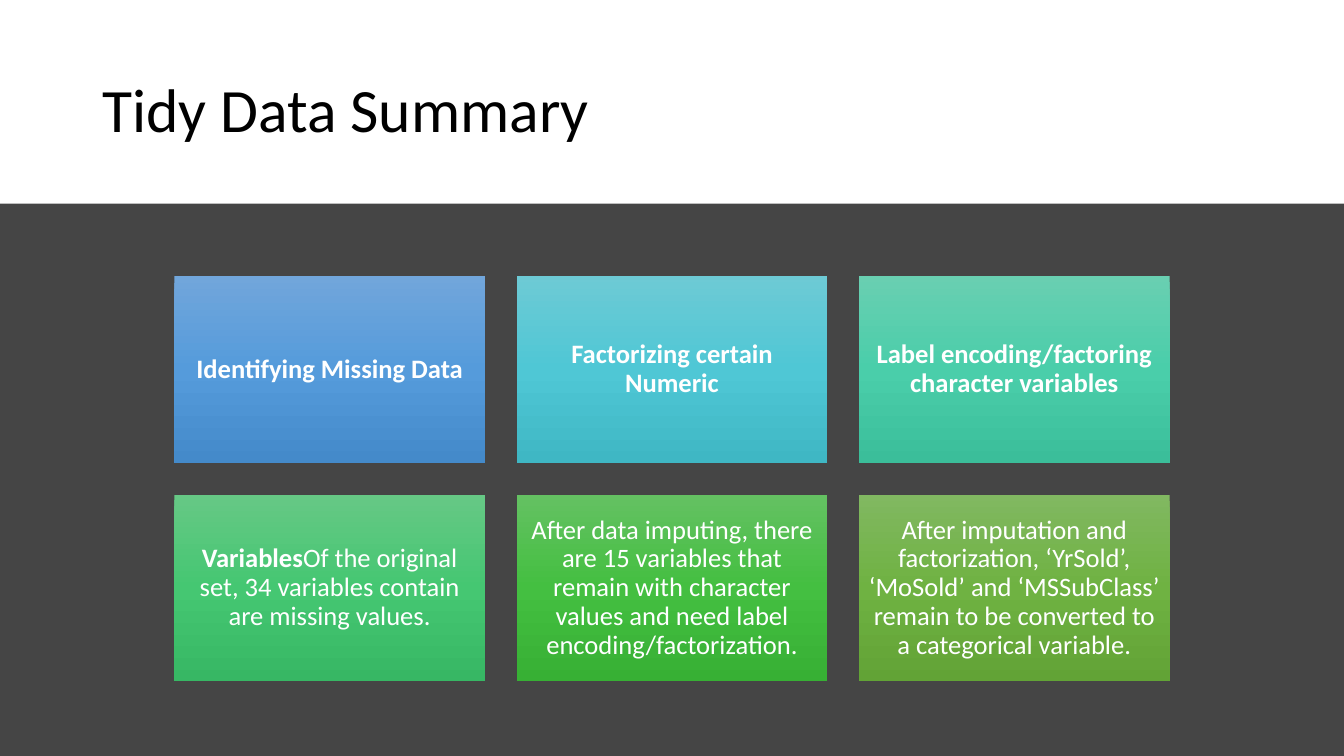
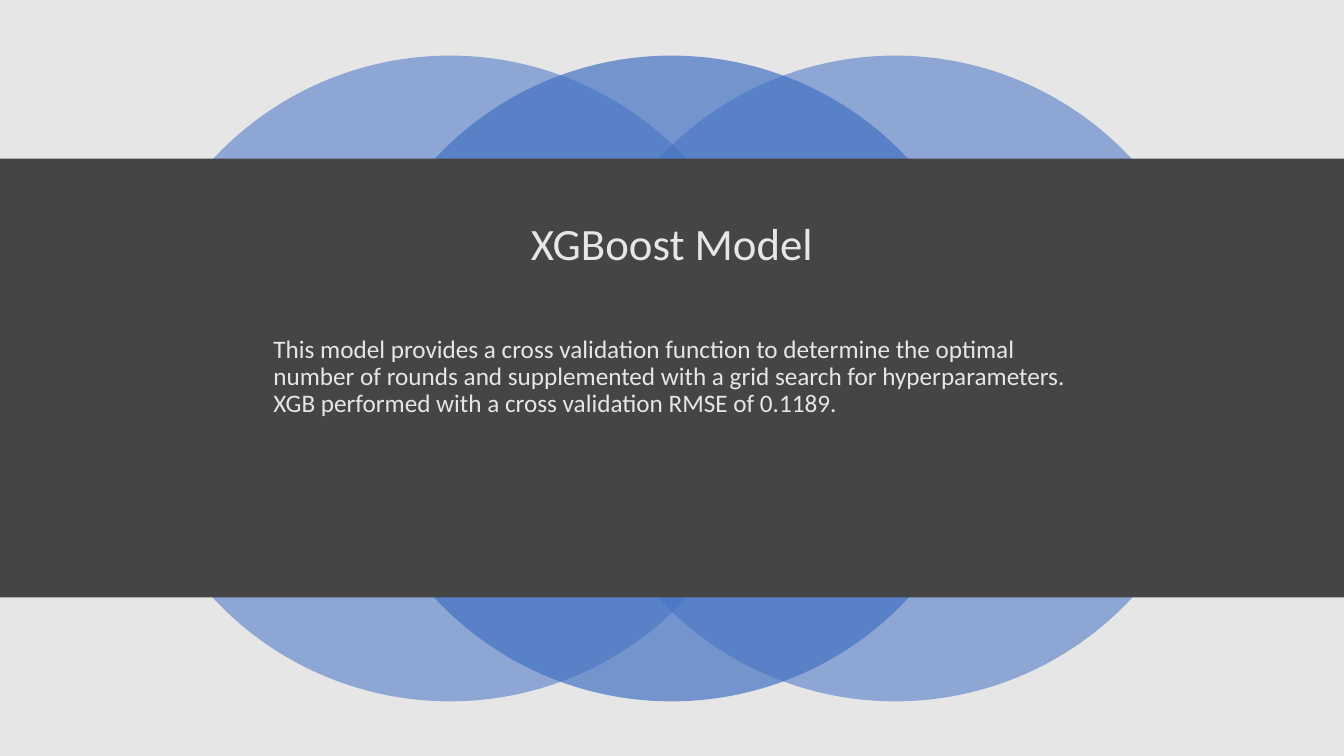
from copy import deepcopy

from lxml.etree import SubElement
from pptx import Presentation
from pptx.dml.color import RGBColor
from pptx.enum.shapes import MSO_SHAPE
from pptx.enum.text import MSO_ANCHOR, PP_ALIGN
from pptx.oxml.ns import qn
from pptx.util import Pt

WIDE, HIGH = 1280, 720
FONT = "Calibri"
DARK, WHITE, BLACK, PALE, BLUE = "454545", "FFFFFF", "000000", "E7E6E6", "4472C4"

# Each card: gradient stops, then (text, bold) runs
CARDS = [
    (("71A6DB", "559BDB", "448ACA"), [("Identifying Missing Data", True)]),
    (("6DCAD5", "4FC7D5", "3FB7C4"), [("Factorizing certain Numeric", True)]),
    (("69CFB1", "4ACEAA", "3BBE9A"),
     [("Label encoding/factoring character variables", True)]),
    (("66C885", "45C772", "37B764"),
     [("Variables", True),
      ("Of the original set, 34 variables contain are missing values.", False)]),
    (("64C162", "44BF41", "37B034"),
     [("After data imputing, there are 15 variables that remain with character "
       "values and need label encoding/factorization.", False)]),
    (("81B861", "6FB242", "62A336"),
     [("After imputation and factorization, ‘YrSold’, ‘MoSold’ and ‘MSSubClass’ "
       "remain to be converted to a categorical variable.", False)]),
]
CARD_W, CARD_H, GAP, COLS, CARD_TOP = 296, 178, 30, 3, 263

CIRCLES = [(121, 55), (545, 55), (332, 70)]  # left, opacity in percent
CIRCLE_TOP, CIRCLE_SIZE = 53, 615
MODEL = ("This model provides a cross validation function to determine the optimal "
         "number of rounds and supplemented with a grid search for hyperparameters. "
         "XGB performed with a cross validation RMSE of 0.1189.")


def px(n):
    return n * 9525


def rgb(code):
    return RGBColor.from_string(code)


def add_slide(deck):
    slide = deck.slides.add_slide(deck.slide_layouts[6])
    fill = slide.background.fill
    fill.solid()
    fill.fore_color.rgb = rgb(DARK)
    return slide


def add_form(slide, box, color=None, kind=MSO_SHAPE.RECTANGLE):
    """Add a preset shape with no line or shadow."""
    form = slide.shapes.add_shape(kind, *map(px, box))
    form.shadow.inherit = False
    form.line.fill.background()
    if color:
        form.fill.solid()
        form.fill.fore_color.rgb = rgb(color)
    return form


def set_alpha(form, percent):
    color = form._element.spPr.find(".//" + qn("a:srgbClr"))
    SubElement(color, qn("a:alpha"), val=str(percent * 1000))


def set_blend(form, colors):
    """Fill from top to bottom with three evenly spaced colours."""
    form.fill.gradient()
    form.fill.gradient_angle = 270
    stops = form._element.spPr.find(".//" + qn("a:gsLst"))
    stops.insert(1, deepcopy(stops[0]))
    for i, (stop, color) in enumerate(zip(form.fill.gradient_stops, colors)):
        stop.position = i / 2
        stop.color.rgb = rgb(color)


def write(form, runs, size, color, align=PP_ALIGN.LEFT, anchor=MSO_ANCHOR.MIDDLE):
    frame = form.text_frame
    frame.word_wrap = True
    frame.vertical_anchor = anchor
    para = frame.paragraphs[0]
    para.alignment = align
    para.line_spacing = 0.9
    for text, bold in runs:
        run = para.add_run()
        run.text = text
        font = run.font
        font.name, font.size, font.bold = FONT, Pt(size), bold
        font.color.rgb = rgb(color)


def add_text(slide, box, text, *style, **more):
    write(slide.shapes.add_textbox(*map(px, box)), [(text, False)], *style, **more)


def add_title(slide, top, high, text, *style):
    add_text(slide, (88, top, 1104, high), text, *style)


def add_card(slide, i, colors, runs):
    row, col = divmod(i, COLS)
    left = (WIDE - COLS * CARD_W - (COLS - 1) * GAP) // 2
    card = add_form(slide, (left + col * (CARD_W + GAP),
                            CARD_TOP + row * (CARD_H + GAP), CARD_W, CARD_H))
    set_blend(card, colors)
    frame = card.text_frame
    frame.margin_left = frame.margin_right = px(8)
    frame.margin_top = frame.margin_bottom = px(8)
    write(card, runs, 19, WHITE, PP_ALIGN.CENTER)


def build_summary(deck):
    slide = add_slide(deck)
    add_form(slide, (0, 0, WIDE, 194), WHITE)
    add_title(slide, 38, 139, "Tidy Data Summary", 44, BLACK)
    for i, (colors, runs) in enumerate(CARDS):
        add_card(slide, i, colors, runs)


def build_model(deck):
    slide = add_slide(deck)
    add_form(slide, (0, 0, WIDE, HIGH), PALE)
    for left, alpha in CIRCLES:
        box = (left, CIRCLE_TOP, CIRCLE_SIZE, CIRCLE_SIZE)
        set_alpha(add_form(slide, box, BLUE, MSO_SHAPE.OVAL), alpha)
    add_form(slide, (0, 151, WIDE, 418), DARK)
    add_title(slide, 185, 98, "XGBoost Model", 32, PALE, PP_ALIGN.CENTER)
    add_text(slide, (251, 316, 780, 222), MODEL, 18, PALE, anchor=MSO_ANCHOR.TOP)


def main():
    deck = Presentation()
    deck.slide_width, deck.slide_height = px(WIDE), px(HIGH)
    build_summary(deck)
    build_model(deck)
    deck.save("out.pptx")


if __name__ == "__main__":
    main()
